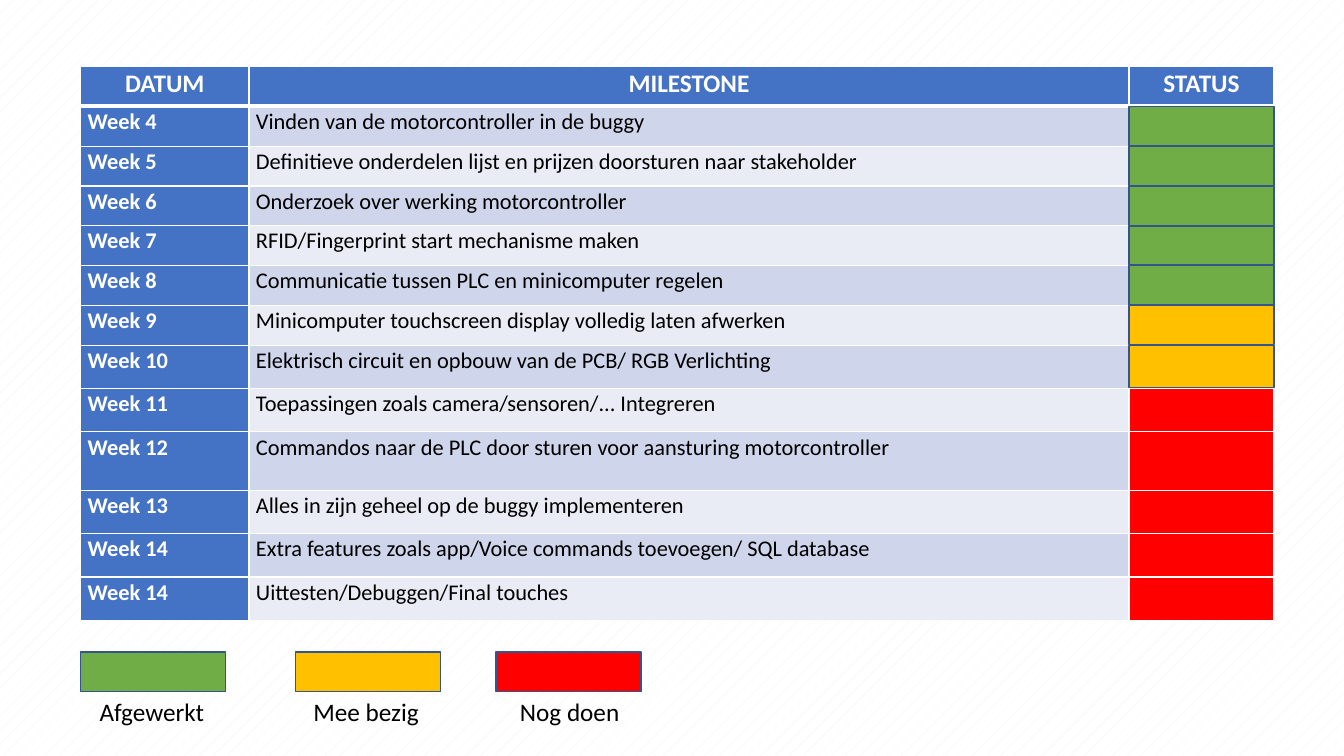
from lxml import etree
from pptx import Presentation
from pptx.dml.color import RGBColor
from pptx.enum.dml import MSO_PATTERN
from pptx.enum.shapes import MSO_SHAPE
from pptx.enum.text import MSO_AUTO_SIZE, PP_ALIGN
from pptx.oxml.ns import qn
from pptx.util import Inches, Pt

RECTANGLE = MSO_SHAPE.RECTANGLE
CENTER, LEFT = PP_ALIGN.CENTER, PP_ALIGN.LEFT

WHITE = RGBColor(0xFF, 0xFF, 0xFF)
BLACK = RGBColor(0x00, 0x00, 0x00)
PALE_GREY = RGBColor(0xF2, 0xF2, 0xF2)
BLUE = RGBColor(0x44, 0x72, 0xC4)
DARK_BLUE = RGBColor(0x32, 0x54, 0x91)
BANDS = (RGBColor(0xCF, 0xD5, 0xEA), RGBColor(0xE9, 0xEB, 0xF5))
GREEN = RGBColor(0x70, 0xAD, 0x47)
AMBER = RGBColor(0xFF, 0xC0, 0x00)
RED = RGBColor(0xFF, 0x00, 0x00)

# Grid in inches
TABLE_LEFT, TABLE_TOP = 0.8, 0.66
COLUMN_WIDTHS = (1.67, 8.73, 1.44)
ROW_HEIGHTS = [0.395] * 7 + [0.43] * 2 + [0.58] + [0.43] * 3
STATUS_LEFT = TABLE_LEFT + sum(COLUMN_WIDTHS[:2])
STATUS_WIDTH, STATUS_HEIGHT = COLUMN_WIDTHS[2], 0.39
LEGEND_TOP = 6.47

HEADINGS = ("DATUM", "MILESTONE", "STATUS")
MILESTONES = (
    ("Week 4", "Vinden van de motorcontroller in de buggy"),
    ("Week 5", "Definitieve onderdelen lijst en prijzen doorsturen naar stakeholder"),
    ("Week 6", "Onderzoek over werking motorcontroller"),
    ("Week 7", "RFID/Fingerprint start mechanisme maken"),
    ("Week 8", "Communicatie tussen PLC en minicomputer regelen"),
    ("Week 9", "Minicomputer touchscreen display volledig laten afwerken"),
    ("Week 10", "Elektrisch circuit en opbouw van de PCB/ RGB Verlichting"),
    ("Week 11", "Toepassingen zoals camera/sensoren/... Integreren"),
    ("Week 12", "Commandos naar de PLC door sturen voor aansturing motorcontroller"),
    ("Week 13", "Alles in zijn geheel op de buggy implementeren"),
    ("Week 14", "Extra features zoals app/Voice commands toevoegen/ SQL database"),
    ("Week 14", "Uittesten/Debuggen/Final touches"),
)
MARKERS = [GREEN] * 5 + [AMBER] * 2
LEGEND = (
    ("Afgewerkt", GREEN, 0.8, 0.89),
    ("Mee bezig", AMBER, 2.93, 3.01),
    ("Nog doen", RED, 4.92, 5.06),
)


def write_text(frame, text, size=16, color=BLACK, bold=False, align=LEFT, spacing=1.0):
    paragraph = frame.paragraphs[0]
    paragraph.alignment = align
    paragraph.line_spacing = spacing
    run = paragraph.add_run()
    run.text = text
    run.font.name = "Calibri"
    run.font.size = Pt(size)
    run.font.bold = bold
    run.font.color.rgb = color


def add_status_box(left, top, height, color):
    box = slide.shapes.add_shape(
        RECTANGLE, Inches(left), Inches(top), Inches(STATUS_WIDTH), Inches(height))
    box.shadow.inherit = False
    box.fill.solid()
    box.fill.fore_color.rgb = color
    box.line.color.rgb = DARK_BLUE
    box.line.width = Pt(1)


presentation = Presentation()
presentation.slide_width = Inches(13.333)
presentation.slide_height = Inches(7.5)
slide = presentation.slides.add_slide(presentation.slide_layouts[6])

# Patterned background
background = slide.background.fill
background.patterned()
background.pattern = MSO_PATTERN.PERCENT_5
background.fore_color.rgb = PALE_GREY
background.back_color.rgb = WHITE

# Milestone table
table = slide.shapes.add_table(
    len(ROW_HEIGHTS), len(COLUMN_WIDTHS), Inches(TABLE_LEFT), Inches(TABLE_TOP),
    Inches(sum(COLUMN_WIDTHS)), Inches(sum(ROW_HEIGHTS))).table
table.horz_banding = False
for column, width in zip(table.columns, COLUMN_WIDTHS):
    column.width = Inches(width)
for row, height in zip(table.rows, ROW_HEIGHTS):
    row.height = Inches(height)

for row_index, texts in enumerate((HEADINGS, *MILESTONES)):
    is_heading = row_index == 0
    for column_index in range(len(COLUMN_WIDTHS)):
        cell = table.cell(row_index, column_index)
        cell.margin_left = cell.margin_right = Inches(0.07)
        cell.margin_top = cell.margin_bottom = 0

        # White borders, thicker below the headings
        thick_side = {0: "lnB", 1: "lnT"}.get(row_index)
        for side in ("lnL", "lnR", "lnT", "lnB"):
            width = Pt(3 if side == thick_side else 1)
            border = etree.SubElement(
                cell._tc.get_or_add_tcPr(), qn(f"a:{side}"), w=str(width))
            fill = etree.SubElement(border, qn("a:solidFill"))
            etree.SubElement(fill, qn("a:srgbClr"), val=str(WHITE))

        # Fill and wording
        cell.fill.solid()
        if is_heading or column_index == 0:
            cell.fill.fore_color.rgb = BLUE
        elif column_index == 1:
            cell.fill.fore_color.rgb = BANDS[(row_index - 1) % 2]
        else:
            cell.fill.fore_color.rgb = GREEN if row_index == 1 else RED
        if is_heading:
            write_text(cell.text_frame, texts[column_index], size=18, color=WHITE,
                       bold=True, align=CENTER, spacing=1.07)
        elif column_index < len(texts):
            is_week = column_index == 0
            write_text(cell.text_frame, texts[column_index], bold=is_week,
                       color=WHITE if is_week else BLACK, spacing=1.07)

# Status markers over the finished and running weeks
for index, color in enumerate(MARKERS, start=1):
    top = TABLE_TOP + sum(ROW_HEIGHTS[:index])
    height = 0.42 if index == len(MARKERS) else STATUS_HEIGHT
    add_status_box(STATUS_LEFT, top, height, color)

# Legend
for label, color, box_left, label_left in LEGEND:
    add_status_box(box_left, LEGEND_TOP, STATUS_HEIGHT, color)
    label_box = slide.shapes.add_textbox(
        Inches(label_left), Inches(LEGEND_TOP + STATUS_HEIGHT), Inches(1.25), Inches(0.4))
    label_box.text_frame.word_wrap = False
    label_box.text_frame.auto_size = MSO_AUTO_SIZE.SHAPE_TO_FIT_TEXT
    write_text(label_box.text_frame, label, size=18)

presentation.save("out.pptx")
